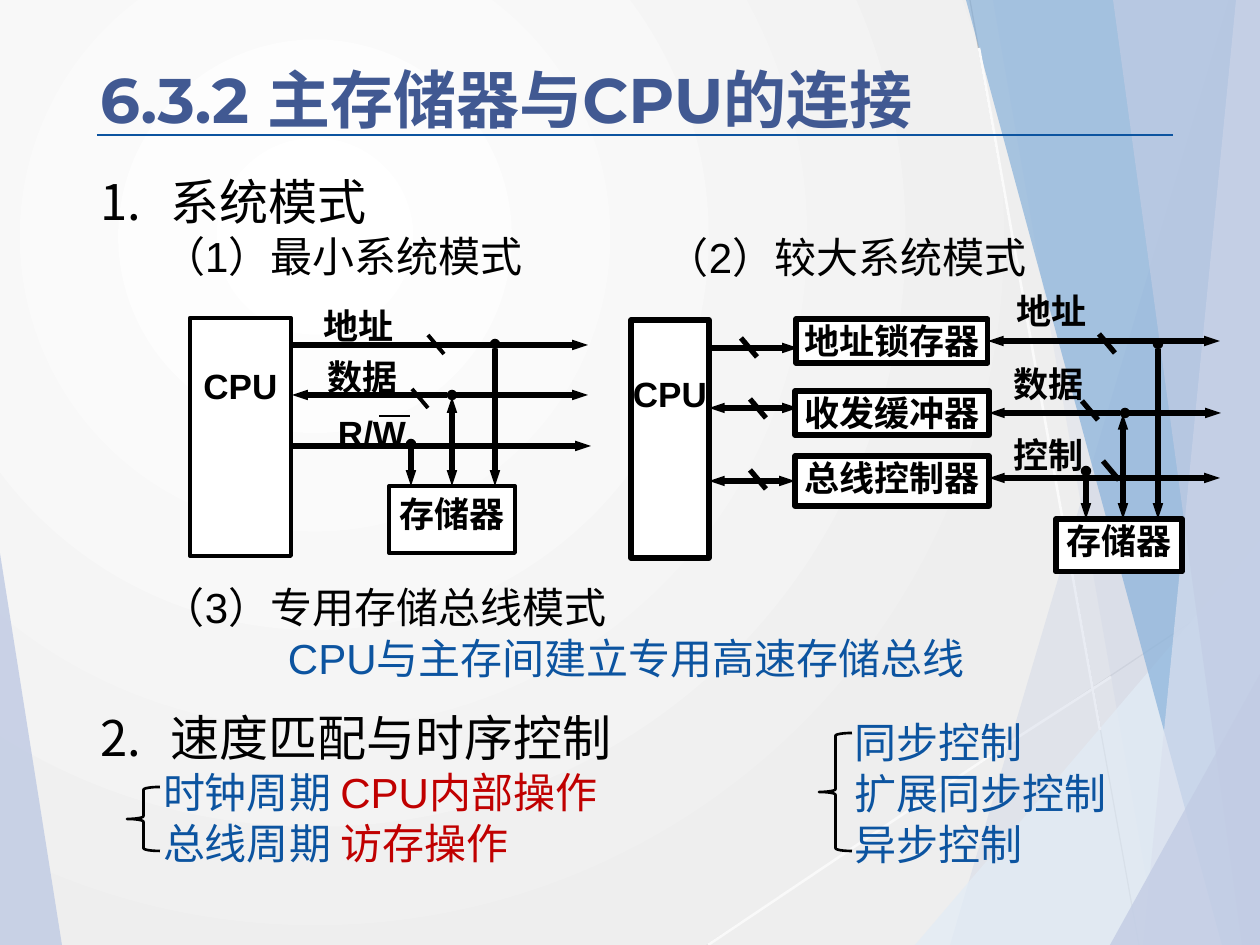
from lxml import etree
from pptx import Presentation
from pptx.dml.color import RGBColor
from pptx.enum.shapes import MSO_CONNECTOR, MSO_SHAPE
from pptx.enum.text import MSO_ANCHOR, PP_ALIGN
from pptx.oxml.ns import qn
from pptx.util import Pt

SCALE = 914400 / 126
WIDE, HIGH = 1260, 945
LINE = MSO_CONNECTOR.STRAIGHT
RECT, BRACE = MSO_SHAPE.RECTANGLE, MSO_SHAPE.LEFT_BRACE
TOP, MIDDLE = MSO_ANCHOR.TOP, MSO_ANCHOR.MIDDLE
LEFT, CENTER = PP_ALIGN.LEFT, PP_ALIGN.CENTER
BLACK, BLUE, RED = "000000", "0C54A0", "C00000"
LEADS = {20: 24.3, 24: 29.1, 28: 34}
ARROW, DOT = "triangle", "oval"


def px(n):
    return round(n * SCALE)


def box(*nums):
    return [px(n) for n in nums]


def hue(code):
    return RGBColor.from_string(code)


def put(para, text, size, color=BLACK, bold=False, align=LEFT):
    para.text = text
    para.alignment = align
    para.line_spacing = Pt(LEADS[size])
    font = para.font
    font.name, font.size, font.bold = "Arial", Pt(size), bold
    font.color.rgb = hue(color)


def frame(shape, top=0):
    text = shape.text_frame
    text.margin_left = text.margin_right = text.margin_bottom = 0
    text.margin_top = px(top)
    text.vertical_anchor = TOP
    text.word_wrap = True
    return text


def area(slide, x, y, w, h):
    return frame(slide.shapes.add_textbox(*box(x, y, w, h)))


def indent(para, left, first=0, start=None):
    props = para._p.get_or_add_pPr()
    props.set("marL", str(px(left)))
    props.set("indent", str(px(first)))
    if start:
        etree.SubElement(props, qn("a:buAutoNum"), type="arabicPeriod", startAt=str(start))


def wire(slide, x, y, ends, head=None, tail=None, width=3, color=BLACK):
    x1, y1, x2, y2 = ends
    line = slide.shapes.add_connector(LINE, *box(x + x1, y + y1, x + x2, y + y2))
    line.line.color.rgb = hue(color)
    line.line.width = Pt(width)
    props = line._element.spPr
    for tag, kind in (("a:headEnd", head), ("a:tailEnd", tail)):
        if kind:
            size = "med" if kind == ARROW else "sm"
            etree.SubElement(props.find(qn("a:ln")), qn(tag), type=kind, w="sm", len=size)
    etree.SubElement(props, qn("a:effectLst"))
    return line


def block(slide, x, y, w, h, text, top=0, width=3):
    shape = slide.shapes.add_shape(RECT, *box(x, y, w, h))
    shape.shadow.inherit = False
    shape.fill.solid()
    shape.fill.fore_color.rgb = hue("FFFFFF")
    shape.line.color.rgb = hue(BLACK)
    shape.line.width = Pt(width)
    put(frame(shape, top).paragraphs[0], text, 20, bold=True, align=CENTER)
    return shape


def label(slide, x, y, text):
    put(area(slide, x, y, 100, 42).paragraphs[0], text, 20, bold=True)


def slash(slide, x, y, spots, width):
    for left, top in spots:
        wire(slide, x, y, (left, top, left + 16, top + 19), width=width)


def brace(slide, x, y, w, h):
    shape = slide.shapes.add_shape(BRACE, *box(x, y, w, h))
    shape.shadow.inherit = False
    shape.fill.background()
    shape.line.color.rgb = hue(BLACK)
    shape.line.width = Pt(1.5)


def facet(slide, points, color, alpha):
    draft = slide.shapes.build_freeform(*points[0], scale=SCALE)
    draft.add_line_segments(points[1:])
    shape = draft.convert_to_shape()
    shape.shadow.inherit = False
    shape.line.fill.background()
    shape.fill.solid()
    shape.fill.fore_color.rgb = hue(color)
    tint = shape._element.spPr.find(qn("a:solidFill"))[0]
    etree.SubElement(tint, qn("a:alpha"), val=str(alpha * 1000))


def backdrop(slide, w, h):
    fill = slide.background.fill
    fill.gradient()
    for stop, place, color in zip(fill.gradient_stops, (0, 1), ("FFFFFF", "EEEEEE")):
        stop.position = place
        stop.color.rgb = hue(color)
    grad = next(slide.element.iter(qn("a:gradFill")))
    grad.remove(grad.find(qn("a:lin")))
    glow = etree.SubElement(grad, qn("a:path"), path="circle")
    etree.SubElement(glow, qn("a:fillToRect"), l="50000", t="50000", r="100000", b="100000")

    facet(slide, [(0, 553), (62, h), (0, h)], "C2CCE4", 85)
    for ends, color in (((707, h, w, 576), "D9D9D9"), ((970, 0, 1139, h), "BFBFBF")):
        wire(slide, 0, 0, ends, width=0.75, color=color)
    for high, low, edge, color, alpha in (
        (1229, 950, 0, "C2CCE4", 30),
        (993, 1158, 0, "C2CCE4", 20),
        (w, 915, 541, "E2ECF6", 72),
        (966, 1222, 0, "88B1DA", 70),
        (1236, 1143, 0, "DAE0EF", 70),
        (1113, 1242, 0, "C2CCE4", 65),
        (w, 1110, 674, "C2CCE4", 80),
    ):
        points = [(high, edge), (low, h), (w, h)]
        if high < w:
            points.append((w, edge))
        facet(slide, points, color, alpha)
    for ends, color in (
        ((1009, 743, 708, h), "F9F9F9"),
        ((1111, 677, 1009, 743), "E8EBF2"),
        ((1067, 544, 1100, 730), "E9ECF3"),
        ((979, 48, 1067, 544), "FAFAFA"),
    ):
        wire(slide, 0, 0, ends, width=1.5, color=color)


def heading(slide, x, y, w, h):
    text = area(slide, x, y, w, h)
    text.vertical_anchor = MIDDLE
    para = text.paragraphs[0]
    para.text = "6.3.2 主存储器与CPU的连接"
    font = para.font
    font.name, font.size, font.bold = "Montserrat", Pt(36), True
    font.color.rgb = hue("415992")
    wire(slide, x, y, (-3, 85, w, 85), width=1.5, color=BLUE)


def modes(slide, x, y, w):
    text = area(slide, x, y, 560, 111)
    first, second = text.paragraphs[0], text.add_paragraph()
    indent(first, 71, -71, 1)
    put(first, "系统模式", 28)
    indent(second, 63)
    put(second, "（1）最小系统模式", 24)
    put(area(slide, x + 567, y + 60, w - 567, 51).paragraphs[0], "（2）较大系统模式", 24)

    text = area(slide, x, y + 410, w, 102)
    third, note = text.paragraphs[0], text.add_paragraph()
    indent(third, 63)
    put(third, "（3）专用存储总线模式", 24)
    indent(note, 188)
    put(note, "CPU与主存间建立专用高速存储总线", 24, BLUE)


def timing(slide, x, y):
    text = area(slide, x, y, 700, 162)
    first = text.paragraphs[0]
    indent(first, 71, -71, 2)
    put(first, "速度匹配与时序控制", 28)
    for cycle, work in (("时钟周期", "CPU内部操作"), ("总线周期", "访存操作")):
        para = text.add_paragraph()
        indent(para, 63)
        put(para, cycle + " ", 24, BLUE)
        run = para.add_run()
        run.text = work
        run.font.color.rgb = hue(RED)
    brace(slide, x + 27, y + 80, 33, 64)

    text = area(slide, x + 755, y + 9, 330, 153)
    for i, name in enumerate(("同步控制", "扩展同步控制", "异步控制")):
        para = text.add_paragraph() if i else text.paragraphs[0]
        put(para, name, 24, BLUE)
    brace(slide, x + 719, y + 26, 33, 118)


def small(slide, x, y):
    block(slide, x, y + 14, 101, 238, "CPU", 46, 2.25)
    store = block(slide, x + 199, y + 182, 126, 67, "存储器", 6, 2.25)
    for left, top, name in ((134, 0, "地址"), (138, 51, "数据"), (148, 107, "R/W")):
        label(slide, x + left, y + top, name)
    for ends, head, tail in (
        ((101, 41, 398, 41), None, ARROW),
        ((102, 91, 262, 91), ARROW, DOT),
        ((262, 91, 398, 91), None, ARROW),
        ((102, 142, 401, 142), None, ARROW),
        ((305, 40, 305, 182), DOT, ARROW),
        ((221, 140, 221, 182), DOT, ARROW),
    ):
        wire(slide, x, y, ends, head, tail)
    wire(slide, x, y, (262, 93, 262, 182), ARROW, ARROW).end_connect(store, 0)
    slash(slide, x, y, ((238, 31), (222, 85)), 2.25)
    wire(slide, x, y, (189, 112, 220, 112), width=0.75)


def large(slide, x, y):
    block(slide, x, y + 31, 78, 238, "CPU", 52)
    block(slide, x + 425, y + 230, 126, 53, "存储器")
    latch = block(slide, x + 165, y + 30, 192, 44, "地址锁存器")
    buffer = block(slide, x + 164, y + 102, 194, 44, "收发缓冲器")
    driver = block(slide, x + 164, y + 167, 194, 50, "总线控制器")
    for left, top, name in ((386, 0, "地址"), (383, 73, "数据"), (383, 144, "控制")):
        label(slide, x + left, y + top, name)
    for ends, head, tail in (
        ((78, 59, 167, 59), None, ARROW),
        ((78, 119, 167, 119), ARROW, ARROW),
        ((494, 124, 590, 124), None, ARROW),
        ((358, 189, 589, 189), ARROW, ARROW),
        ((492, 125, 492, 230), ARROW, ARROW),
        ((455, 182, 455, 230), DOT, ARROW),
        ((527, 55, 527, 230), DOT, ARROW),
    ):
        wire(slide, x, y, ends, head, tail)
    wire(slide, x, y, (78, 192, 164, 192), ARROW, ARROW).end_connect(driver, 1)
    wire(slide, x, y, (357, 52, 589, 52), ARROW, ARROW).begin_connect(latch, 3)
    wire(slide, x, y, (358, 124, 494, 124), ARROW, DOT).begin_connect(buffer, 3)
    slash(slide, x, y, ((110, 49), (119, 110), (119, 181), (468, 45), (451, 112), (472, 172)), 3)


def main():
    deck = Presentation()
    deck.slide_width, deck.slide_height = box(WIDE, HIGH)
    slide = deck.slides.add_slide(deck.slide_layouts[6])
    backdrop(slide, WIDE, HIGH)
    heading(slide, 100, 50, 1073, 96)
    modes(slide, 100, 171, 1060)
    timing(slide, 100, 707)
    small(slide, 190, 304)
    large(slide, 631, 289)
    deck.save("out.pptx")


if __name__ == "__main__":
    main()
